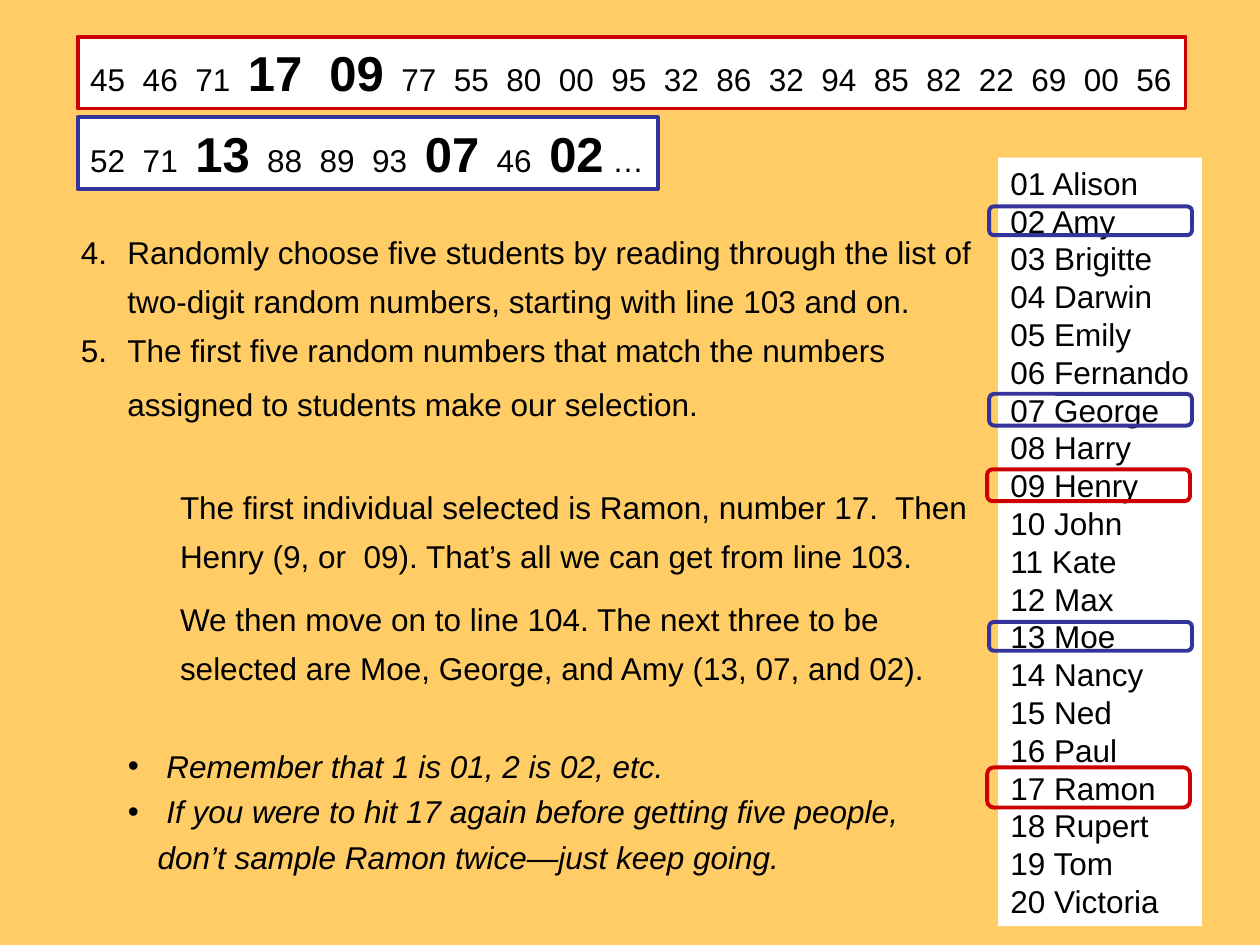
from lxml import etree
from pptx import Presentation
from pptx.dml.color import RGBColor
from pptx.enum.shapes import MSO_SHAPE
from pptx.enum.text import MSO_ANCHOR, MSO_AUTO_SIZE, PP_ALIGN
from pptx.oxml.ns import qn
from pptx.util import Cm, Pt

RECT, ROUNDED = MSO_SHAPE.RECTANGLE, MSO_SHAPE.ROUNDED_RECTANGLE
TOP, FIT, LEFT = MSO_ANCHOR.TOP, MSO_AUTO_SIZE.SHAPE_TO_FIT_TEXT, PP_ALIGN.LEFT

COLORS = {"background": "FFCC66", "panel": "FFFFFF", "text": "000000",
          "line 103": "CC0000", "line 104": "333399"}
FONT, BODY, PICKED = "Arial", 18, 28

STUDENTS = ["Alison", "Amy", "Brigitte", "Darwin", "Emily", "Fernando", "George",
            "Harry", "Henry", "John", "Kate", "Max", "Moe", "Nancy", "Ned", "Paul",
            "Ramon", "Rupert", "Tom", "Victoria"]
ROSTER_BOX = (20.12, 3.18, 4.11, 15.49)
INSET = 0.13

# Runs are (text, size); the picked numbers are large and bold.
RANDOM_LINES = [
    ("line 103", (1.57, 0.74, 22.33, 1.45),
     [("45  46  71  ", BODY), ("17  09", PICKED),
      ("  77  55  80  00  95  32  86  32  94  85  82  22  69  00  56", BODY)]),
    ("line 104", (1.57, 2.36, 11.69, 1.45),
     [("52  71  ", BODY), ("13", PICKED), ("  88  89  93  ", BODY),
      ("07", PICKED), ("  46  ", BODY), ("02", PICKED), (" …", BODY)]),
]
RANDOM_LINE_RIGHT_INSET = 0.1

STEPS_BOX = (1.05, 4.34, 18.85, 4.34)
STEPS = [
    [("Randomly choose five students by reading through the list of two-digit "
      "random numbers, starting with line 103 and on.", BODY)],
    [("The first five random numbers that match the numbers assigned to students "
      "make our selection.", BODY), (" ", 20)],
]

EXPLANATIONS = [
    ((3.38, 9.48, 16.71, 2.24),
     "The first individual selected is Ramon, number 17.  Then Henry (9, or  09). "
     "That’s all we can get from line 103."),
    ((3.38, 11.74, 16.71, 2.24),
     "We then move on to line 104. The next three to be selected are Moe, George, "
     "and Amy (13, 07, and 02)."),
]

REMINDERS_BOX = (2.33, 14.78, 16.31, 3)
REMINDERS = [
    " Remember that 1 is 01, 2 is 02, etc.",
    " If you were to hit 17 again before getting five people, don’t sample Ramon "
    "twice—just keep going.",
]

# Student number and ring height, for each line of random numbers
RING_LEFT = {"line 103": 19.9, "line 104": 19.94}
RING_WIDTH = 4.09
RINGS = {"line 103": [(17, 0.81), (9, 0.64)],
         "line 104": [(13, 0.58), (7, 0.64), (2, 0.58)]}


def color(name):
    return RGBColor.from_string(COLORS[name])


def add_outline(slide, preset, box, fill=None, line=None):
    shape = slide.shapes.add_shape(preset, *map(Cm, box))
    shape.shadow.inherit = False
    if fill:
        shape.fill.solid()
        shape.fill.fore_color.rgb = color(fill)
    else:
        shape.fill.background()
    if line:
        shape.line.color.rgb = color(line)
        shape.line.width = Pt(2.25)
    else:
        shape.line.fill.background()
    return shape


def add_bullet(paragraph, margin, indent, tag, **attributes):
    props = paragraph._p.get_or_add_pPr()
    props.set("marL", str(Cm(margin)))
    props.set("indent", str(Cm(indent)))
    bullet_color = etree.SubElement(props, qn("a:buClr"))
    etree.SubElement(bullet_color, qn("a:srgbClr"), val=COLORS["text"])
    etree.SubElement(props, qn("a:buFont"), typeface=FONT)
    etree.SubElement(props, qn(tag), **attributes)


def write(shape, paragraphs, wrap=True, spacing=None, bullet=None, italic=None):
    """Fill a shape; each paragraph is a string or a list of (text, size) runs."""
    frame = shape.text_frame
    frame.word_wrap = wrap
    frame.auto_size = FIT
    frame.vertical_anchor = TOP
    for index, content in enumerate(paragraphs):
        paragraph = frame.add_paragraph() if index else frame.paragraphs[0]
        if bullet:
            add_bullet(paragraph, **bullet)
        paragraph.alignment = LEFT
        if spacing:
            paragraph.line_spacing = spacing
        font = paragraph.font
        font.name, font.size, font.italic = FONT, Pt(BODY), italic
        font.color.rgb = color("text")
        runs = [(content, BODY)] if isinstance(content, str) else content
        for text, size in runs:
            run = paragraph.add_run()
            run.text = text
            if size != BODY:
                run.font.size = Pt(size)
            if size == PICKED:
                run.font.bold = True


def add_text(slide, box, paragraphs, **style):
    write(slide.shapes.add_textbox(*map(Cm, box)), paragraphs, **style)


def add_rings(slide):
    """Ring the selected students, each centred on its row of the roster."""
    _, top, _, height = ROSTER_BOX
    pitch = (height - 2 * INSET) / len(STUDENTS)
    for source, rings in RINGS.items():
        for number, ring_height in rings:
            middle = top + INSET + (number - 0.5) * pitch
            box = (RING_LEFT[source], middle - ring_height / 2, RING_WIDTH, ring_height)
            add_outline(slide, ROUNDED, box, line=source)


def main():
    deck = Presentation()
    deck.slide_width, deck.slide_height = Cm(25.4), Cm(19.05)
    slide = deck.slides.add_slide(deck.slide_layouts[6])
    slide.background.fill.solid()
    slide.background.fill.fore_color.rgb = color("background")

    roster = [f"{number:02} {name}" for number, name in enumerate(STUDENTS, 1)]
    write(add_outline(slide, RECT, ROSTER_BOX, fill="panel"), roster, wrap=False)
    add_text(slide, REMINDERS_BOX, REMINDERS, spacing=1.2, italic=True,
             bullet={"margin": 0.6, "indent": -0.6, "tag": "a:buChar", "char": "•"})
    add_text(slide, STEPS_BOX, STEPS, spacing=1.3,
             bullet={"margin": 1.27, "indent": -0.94, "tag": "a:buAutoNum",
                     "type": "arabicPeriod", "startAt": "4"})
    for source, box, runs in RANDOM_LINES:
        panel = add_outline(slide, RECT, box, fill="panel", line=source)
        panel.text_frame.margin_right = Cm(RANDOM_LINE_RIGHT_INSET)
        write(panel, [runs], wrap=False)
    for box, text in EXPLANATIONS:
        add_text(slide, box, [text], spacing=1.3)
    add_rings(slide)
    deck.save("out.pptx")


if __name__ == "__main__":
    main()
